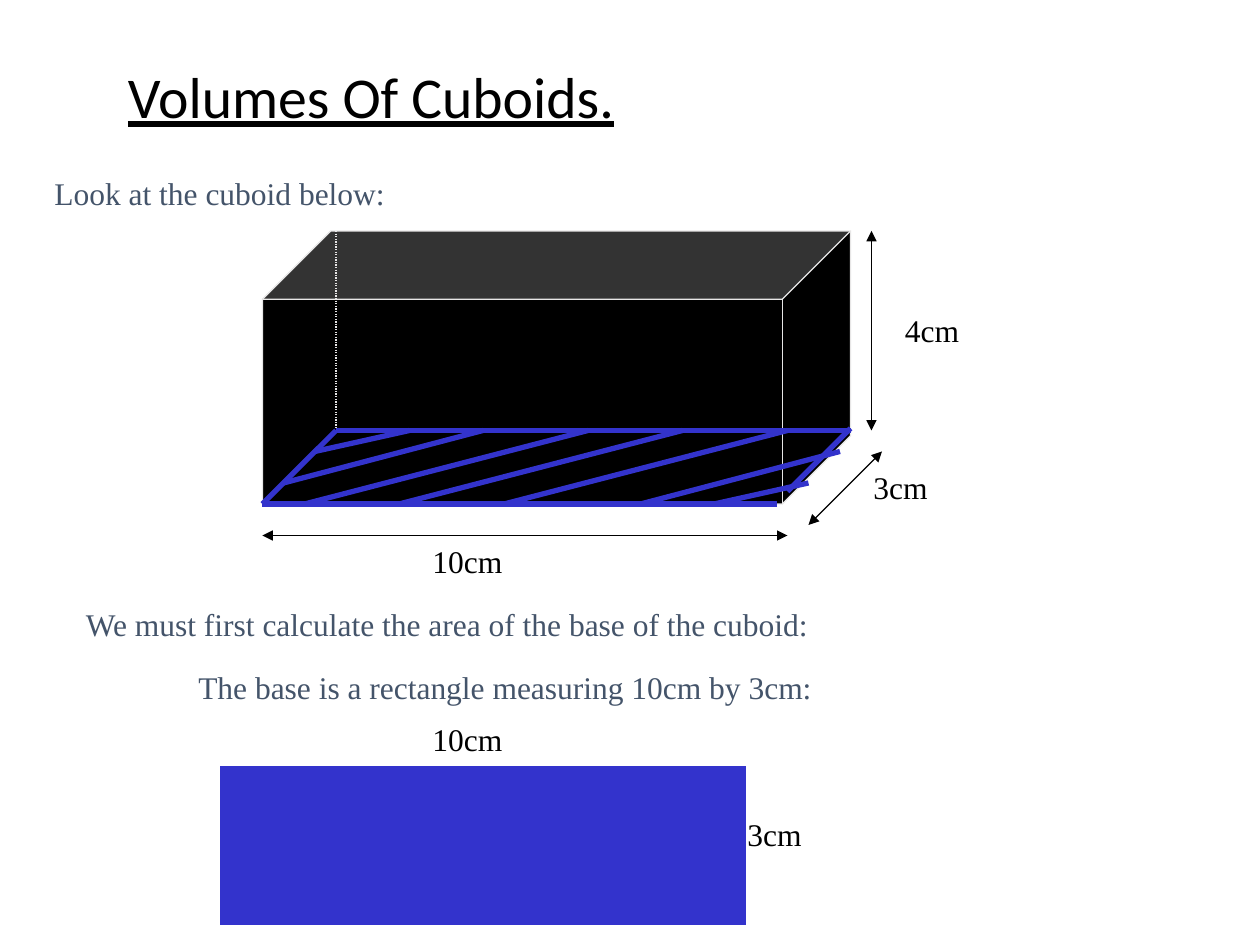
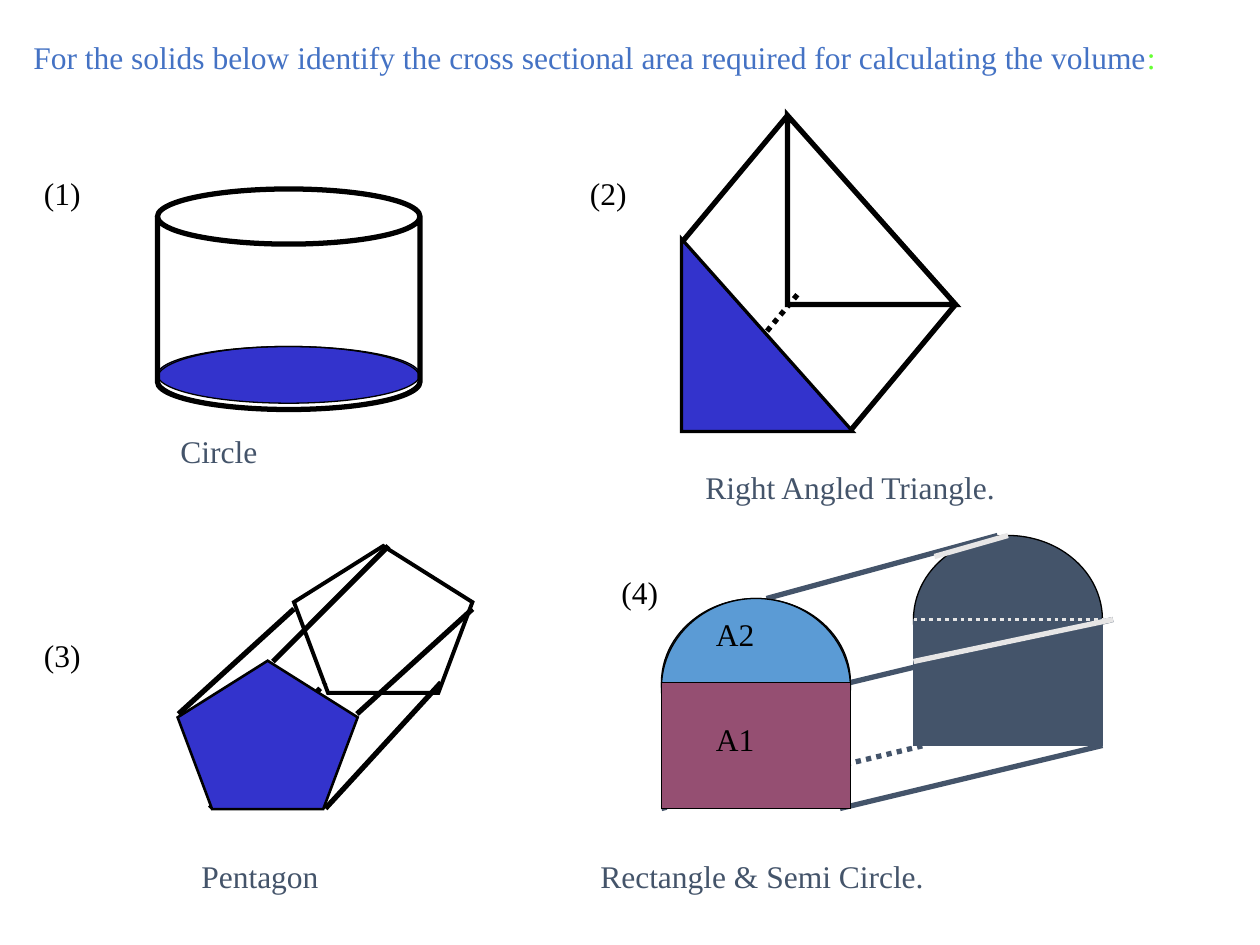
from dataclasses import dataclass
from typing import Optional, Union

from lxml import etree
from pptx import Presentation
from pptx import util as u
from pptx.dml.color import RGBColor
from pptx.enum import dml, shapes, text
from pptx.oxml.ns import qn

# Shared grid: 120 columns by 90 rows, twelve cells to the inch
COLUMNS, ROWS = 120, 90
WIDTH, HEIGHT = u.Inches(10), u.Inches(7.5)
LABEL_ROWS = 4.8

# Shared colours
BLACK, PALE, SLATE = "000000", "E7E6E6", "44546A"
BASE_BLUE, HEADING_BLUE, GREEN = "3333CC", "4472C4", "66FF33"
SKY, PLUM = "5B9BD5", "954F72"

BODY_FONT = {"name": "Times New Roman", "size": u.Pt(18)}
TITLE_FONT = {"name": "Calibri", "size": u.Pt(33), "underline": True}
SHAPE = shapes.MSO_SHAPE


@dataclass
class Label:
    words: str
    col: float
    row: float
    cols: float
    colour: str = BLACK
    tail: str = ""


@dataclass
class Title:
    words: str
    col: float
    row: float
    cols: float
    rows: float


@dataclass
class Solid:
    kind: SHAPE
    col: float
    row: float
    cols: float
    rows: float
    fill: Optional[str] = None
    line: str = BLACK
    weight: float = 0.75


@dataclass
class Edges:
    """Straight lines of one style, each as (col, row, col, row)."""
    ends: list[tuple[float, float, float, float]]
    colour: str = BLACK
    weight: float = 3
    dotted: bool = False
    arrows: bool = False


Part = Union[Label, Title, Solid, Edges]


# Helpers
def x(cols: float) -> int:
    return round(WIDTH * cols / COLUMNS)


def y(rows: float) -> int:
    return round(HEIGHT * rows / ROWS)


def paint(target, colour: str) -> None:
    """Colour a fill or a font."""
    if hasattr(target, "solid"):
        target.solid()
        target.fore_color.rgb = RGBColor.from_string(colour)
    else:
        target.color.rgb = RGBColor.from_string(colour)


def apply(target, values: dict) -> None:
    for name, value in values.items():
        setattr(target, name, value)


def add_run(paragraph, words: str, font: dict, colour: str) -> None:
    run = paragraph.add_run()
    run.text = words
    apply(run.font, font)
    paint(run.font, colour)


# Drawing
def draw_label(slide, label: Label) -> None:
    box = slide.shapes.add_textbox(x(label.col), y(label.row),
                                   x(label.cols), y(LABEL_ROWS))
    box.text_frame.word_wrap = True
    paragraph = box.text_frame.paragraphs[0]
    add_run(paragraph, label.words, BODY_FONT, label.colour)
    if label.tail:
        add_run(paragraph, label.tail, BODY_FONT, GREEN)


def draw_title(slide, title: Title) -> None:
    box = slide.shapes.add_textbox(x(title.col), y(title.row),
                                   x(title.cols), y(title.rows))
    apply(box.text_frame, {"word_wrap": True,
                           "vertical_anchor": text.MSO_ANCHOR.MIDDLE})
    paragraph = box.text_frame.paragraphs[0]
    paragraph.line_spacing = 0.9
    add_run(paragraph, title.words, TITLE_FONT, BLACK)


def draw_solid(slide, solid: Solid) -> None:
    body = slide.shapes.add_shape(solid.kind, x(solid.col), y(solid.row),
                                  x(solid.cols), y(solid.rows))
    body.shadow.inherit = False
    if solid.fill:
        paint(body.fill, solid.fill)
    else:
        body.fill.background()
    paint(body.line.fill, solid.line)
    body.line.width = u.Pt(solid.weight)
    # Sharp corners
    etree.SubElement(body.line._get_or_add_ln(), qn("a:miter"), lim="800000")


def draw_edges(slide, edges: Edges) -> None:
    for col1, row1, col2, row2 in edges.ends:
        edge = slide.shapes.add_connector(shapes.MSO_CONNECTOR.STRAIGHT,
                                          x(col1), y(row1), x(col2), y(row2))
        paint(edge.line.fill, edges.colour)
        edge.line.width = u.Pt(edges.weight)
        if edges.dotted:
            edge.line.dash_style = dml.MSO_LINE.ROUND_DOT
        if edges.arrows:
            outline = edge.line._get_or_add_ln()
            for end in ("a:headEnd", "a:tailEnd"):
                etree.SubElement(outline, qn(end), type="triangle")
        etree.SubElement(edge._element.spPr, qn("a:effectLst"))


DRAW = {Label: draw_label, Title: draw_title, Solid: draw_solid, Edges: draw_edges}

# Slide 1: the cuboid and its base
CUBOID: list[Part] = [
    Title("Volumes Of Cuboids.", 11, 4, 102, 11),
    Label("Look at the cuboid below:", 4, 16, 49, SLATE),
    Label("10cm", 40, 51, 12),
    Label("3cm", 82, 44, 10),
    Label("4cm", 85, 29, 11),
    Solid(SHAPE.CUBE, 25, 22, 56, 26, BLACK, PALE),
    # Hidden edges, then dimension arrows
    Edges([(25, 48, 32, 41), (32, 22, 32, 41), (32, 41, 81, 41)],
          PALE, 0.75, dotted=True),
    Edges([(25, 51, 75, 51), (77, 50, 84, 43), (83, 22, 83, 41)],
          weight=0.75, arrows=True),
    Label("We must first calculate the area of the base of the cuboid:",
          7, 57, 100, SLATE),
    # Base outline, then its hatching
    Edges([(25, 48, 32, 41), (32, 41, 81, 41), (81, 40.8, 75, 46.8),
           (74, 48, 25, 48)], BASE_BLUE),
    Edges([(30, 43, 39, 41), (27, 46, 46, 41), (29, 48, 56, 41),
           (38, 48, 65, 41), (48, 48, 75, 41), (61, 48, 80, 43),
           (68, 48, 77, 46)], BASE_BLUE),
    Label("The base is a rectangle measuring 10cm by 3cm:",
          17.7, 63, 64, SLATE),
    Solid(SHAPE.RECTANGLE, 21, 73, 50, 15, BASE_BLUE, BASE_BLUE),
    Label("3cm", 70, 77, 10),
    Label("10cm", 40, 68, 12),
]

# Slide 2: four solids and their cross sections
CROSS_SECTIONS: list[Part] = [
    Label("For the solids below identify the cross sectional area required "
          "for calculating the volume", 2, 3, 114, HEADING_BLUE, tail=":"),
    # Cylinder section
    Solid(SHAPE.OVAL, 15, 33, 25, 5.4, BASE_BLUE),
    Label("Circle", 16, 40.6, 15, SLATE),
    # Triangular prism
    Label("(2)", 55, 16, 9),
    Solid(SHAPE.RIGHT_TRIANGLE, 65, 23, 16, 18, weight=3),
    Solid(SHAPE.RIGHT_TRIANGLE, 75, 11, 16, 18, weight=3),
    Edges([(65, 23, 75, 11), (81, 41, 91, 29)]),
    Edges([(66, 40, 76, 28)], dotted=True),
    Solid(SHAPE.RIGHT_TRIANGLE, 65, 23, 16, 18, BASE_BLUE),
    Label("Right Angled Triangle.", 66, 44, 41, SLATE),
    # Pentagonal prism
    Label("(3)", 3, 60, 9),
    Solid(SHAPE.REGULAR_PENTAGON, 17, 63, 17, 14, weight=2.25),
    Solid(SHAPE.REGULAR_PENTAGON, 28, 52, 17, 14, weight=2.25),
    Edges([(26, 63, 37, 52), (34, 68, 45, 58), (31, 77, 42, 65),
           (17, 68, 28, 58)]),
    Edges([(20, 77, 31, 65)], dotted=True),
    Solid(SHAPE.REGULAR_PENTAGON, 17, 63, 17, 14, BASE_BLUE),
    Label("Pentagon", 18, 81, 18, SLATE),
    # Arched prism
    Label("(4)", 58, 54, 8),
    Solid(SHAPE.OVAL, 63, 57, 18, 16, SLATE),
    Edges([(63, 65, 81, 65)], PALE, 2.25, dotted=True),
    Solid(SHAPE.OVAL, 87, 51, 18, 16, SLATE),
    Solid(SHAPE.RECTANGLE, 87, 59, 18, 12, SLATE, SLATE),
    Edges([(87, 59, 105, 59)], PALE, 2.25, dotted=True),
    Edges([(80, 77, 105, 71), (81, 65, 106, 59)], SLATE),
    Edges([(87, 63, 106, 59)], PALE),
    Edges([(73, 57, 95, 51)], SLATE),
    Edges([(63, 77, 88, 71)], SLATE, dotted=True),
    Edges([(89, 53, 96, 51)], PALE),
    Solid(SHAPE.OVAL, 63, 57, 18, 17, SKY),
    Label("A2", 67, 58, 10),
    Solid(SHAPE.RECTANGLE, 63, 65, 18, 12, PLUM),
    Label("A1", 67, 68, 8),
    Label("Rectangle & Semi Circle.", 56, 81, 52, SLATE),
    # Cylinder
    Label("(1)", 3, 16, 10),
    Solid(SHAPE.CAN, 15, 18, 25, 21, weight=3),
    Solid(SHAPE.OVAL, 15, 33, 25, 6),
]


def main() -> None:
    deck = Presentation()
    apply(deck, {"slide_width": WIDTH, "slide_height": HEIGHT})
    for parts in (CUBOID, CROSS_SECTIONS):
        slide = deck.slides.add_slide(deck.slide_layouts[6])
        for part in parts:
            DRAW[type(part)](slide, part)
    deck.save("out.pptx")


if __name__ == "__main__":
    main()
